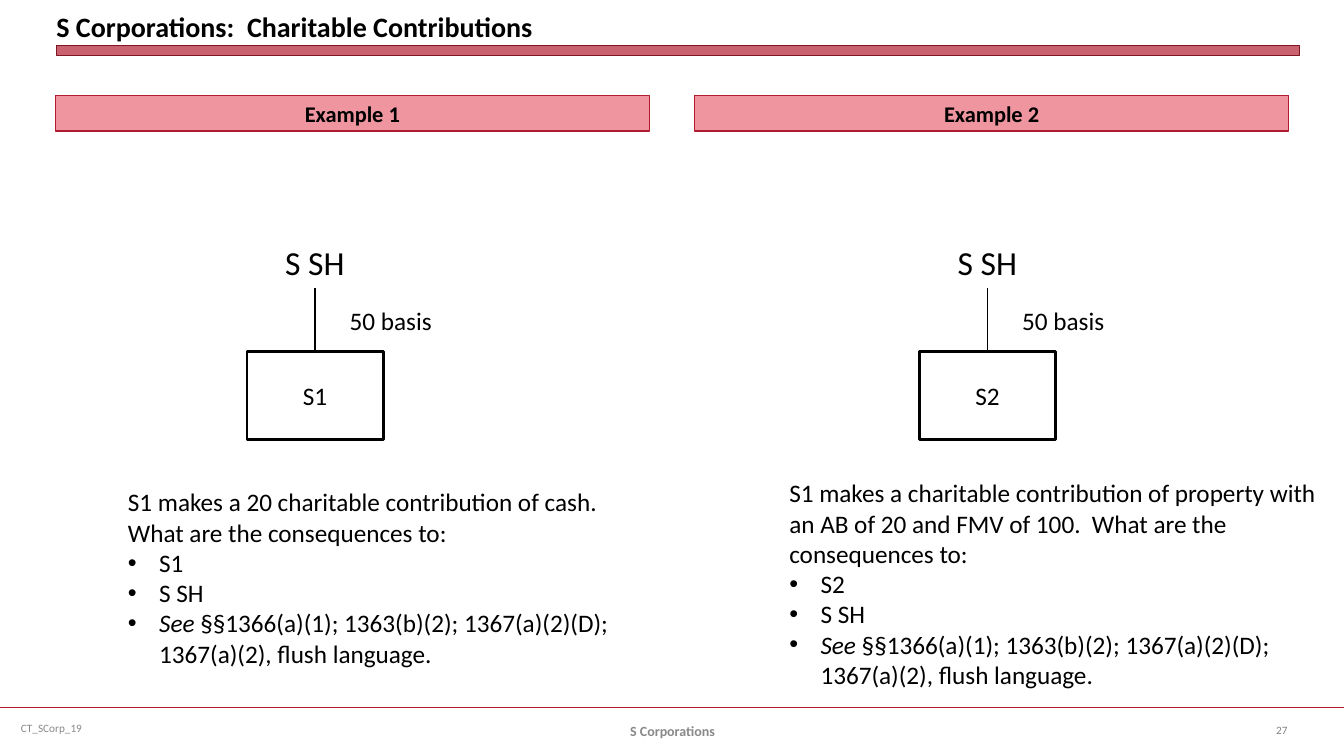
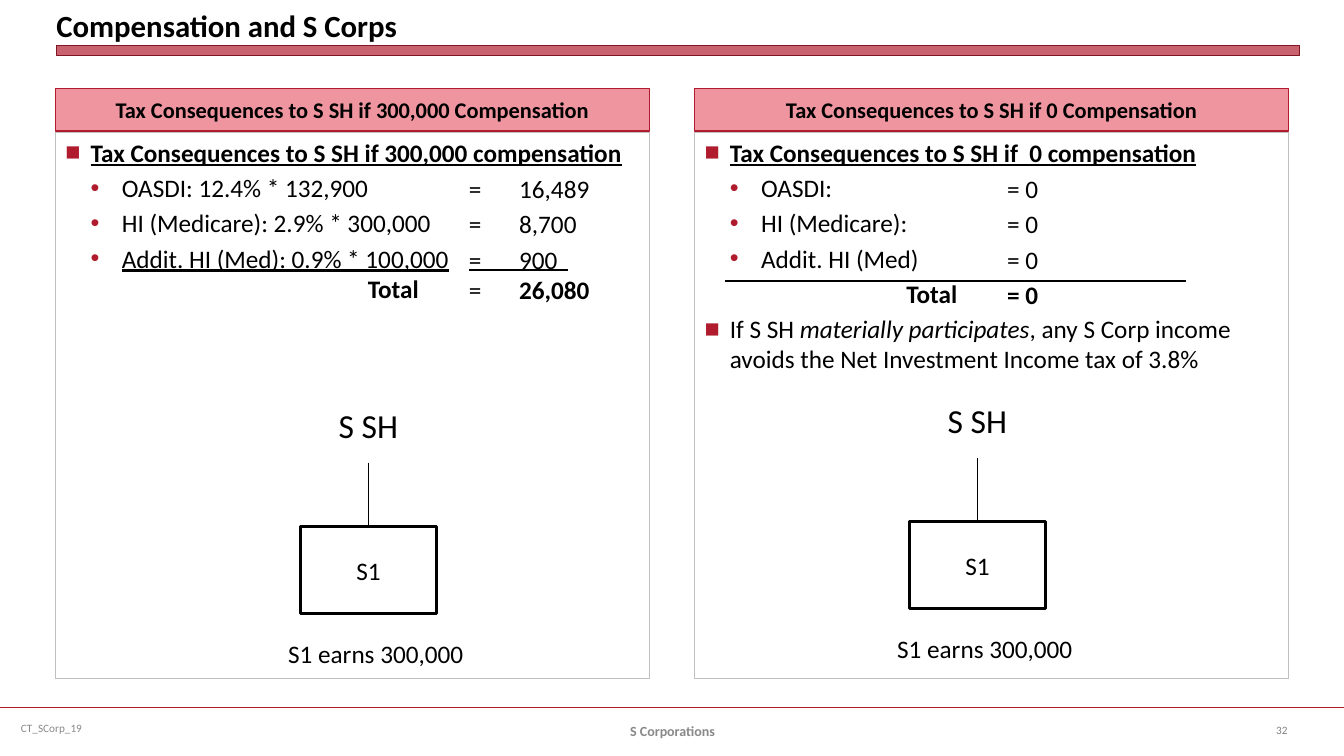
from dataclasses import dataclass

from lxml import etree
from pptx import Presentation
from pptx.dml.color import RGBColor
from pptx.enum import shapes, text
from pptx.oxml import ns
from pptx.util import Inches, Pt

BLACK = RGBColor(0x00, 0x00, 0x00)
WHITE = RGBColor(0xFF, 0xFF, 0xFF)
CRIMSON = RGBColor(0xB0, 0x1C, 0x2E)
DARK_RED = RGBColor(0x82, 0x15, 0x22)
PINK = RGBColor(0xEE, 0x95, 0xA0)
SILVER = RGBColor(0xC0, 0xC0, 0xC0)
FOOTER_GREY = RGBColor(0x89, 0x89, 0x89)
NUMBER_GREY = RGBColor(0x80, 0x80, 0x80)

FONT = "Calibri"
COLUMN_LEFTS = (0.55, 6.89)
COLUMN_WIDTH = 5.89
PANEL_TOP, PANEL_HEIGHT = 1.31, 5.42
PARA_GAP = 3.6
LEFT, CENTER = text.PP_ALIGN.LEFT, text.PP_ALIGN.CENTER
TOP, MIDDLE = text.MSO_ANCHOR.TOP, text.MSO_ANCHOR.MIDDLE


@dataclass
class Para:
    """Spans are (words, marks); marks holds any of the letters b, i and u."""
    spans: list
    bullet: str = ""
    margin: float = 0
    hanging: float = 0
    gap: float = 0
    bullet_color: RGBColor = BLACK
    right_tab: float = 0


def heading(*spans, gap=PARA_GAP):
    return Para(list(spans), "■", 0.25, 0.25, gap, CRIMSON)


def item(words, marks=""):
    return Para([(words, marks)], "•", 0.56, 0.31, PARA_GAP, CRIMSON)


def total_label(margin, gap):
    return Para([("Total", "b")], margin=margin, gap=gap)


def add_child(parent, tag, **attributes):
    return etree.SubElement(parent, ns.qn(tag), attributes)


def format_span(span, size, color=BLACK, marks=""):
    font = span.font
    font.name, font.size, font.color.rgb = FONT, Pt(size), color
    font.bold, font.italic, font.underline = ("b" in marks, "i" in marks, "u" in marks)


def write(frame, paras, size, color=BLACK, align=LEFT, anchor=TOP, wrap=True, inset=True):
    frame.word_wrap = wrap
    frame.vertical_anchor = anchor
    if not inset:
        frame.margin_left = frame.margin_right = 0
        frame.margin_top = frame.margin_bottom = 0
    for index, source in enumerate(paras):
        para = frame.paragraphs[0] if index == 0 else frame.add_paragraph()
        para.alignment = align
        para.space_before = Pt(source.gap if index else 0)
        properties = para._p.get_or_add_pPr()
        properties.set("marL", str(Inches(source.margin)))
        properties.set("indent", str(-Inches(source.hanging)))
        if source.bullet:
            tint = add_child(properties, "a:buClr")
            add_child(tint, "a:srgbClr", val=str(source.bullet_color))
            add_child(properties, "a:buFont", typeface="Arial")
            add_child(properties, "a:buChar", char=source.bullet)
        else:
            add_child(properties, "a:buNone")
        if source.right_tab:
            tabs = add_child(properties, "a:tabLst")
            add_child(tabs, "a:tab", pos=str(Inches(source.right_tab)), algn="r")
        for words, marks in source.spans:
            span = para.add_run()
            span.text = words
            format_span(span, size, color, marks)


def add_text(page, left, top, width, height, paras, size, **style):
    box = page.shapes.add_textbox(Inches(left), Inches(top), Inches(width), Inches(height))
    write(box.text_frame, paras, size, **style)


def add_label(page, left, top, width, height, words, size, marks="", **style):
    add_text(page, left, top, width, height, [Para([(words, marks)])], size, **style)


def add_rect(page, left, top, width, height, fill, line, weight):
    rect = page.shapes.add_shape(shapes.MSO_SHAPE.RECTANGLE, Inches(left), Inches(top),
                                 Inches(width), Inches(height))
    rect.shadow.inherit = False
    if fill is None:
        rect.fill.background()
    else:
        rect.fill.solid()
        rect.fill.fore_color.rgb = fill
    rect.line.color.rgb = line
    rect.line.width = Pt(weight)
    return rect


def add_line(page, x1, y1, x2, y2, color, weight):
    line = page.shapes.add_connector(shapes.MSO_CONNECTOR.STRAIGHT, Inches(x1), Inches(y1),
                                     Inches(x2), Inches(y2))
    line.line.color.rgb = color
    line.line.width = Pt(weight)
    add_child(line._element.spPr, "a:effectLst")
    return line


def add_page(deck, title, title_size, number):
    """Add a slide with its title, title bar and footer."""
    page = deck.slides.add_slide(deck.slide_layouts[5])
    add_line(page, 0, 7.02, 13.33, 7.02, CRIMSON, 1.25)
    add_label(page, 0.11, 7.02, 3.44, 0.4, "CT_SCorp_19", 8, color=FOOTER_GREY, anchor=MIDDLE)
    add_label(page, 4.56, 7.05, 4.22, 0.4, "S Corporations", 10, "b", color=FOOTER_GREY,
              align=CENTER, anchor=MIDDLE)
    add_label(page, 12.56, 7.04, 0.67, 0.4, number, 8, color=NUMBER_GREY, anchor=MIDDLE)

    bar = add_rect(page, 0.56, 0.45, 12.33, 0.1, CRIMSON, DARK_RED, 0)
    tint = bar._element.spPr.find(ns.qn("a:solidFill"))[0]
    add_child(tint, "a:alpha", val="69000")

    holder = page.shapes.title
    holder.left, holder.top = Inches(0.56), Inches(0)
    holder.width, holder.height = Inches(12.33), Inches(0.43)
    holder.text_frame.auto_size = text.MSO_AUTO_SIZE.NONE
    write(holder.text_frame, [Para([(title, "b")])], title_size,
          anchor=text.MSO_ANCHOR.BOTTOM, inset=False)
    return page


def add_column_header(page, left, height, words):
    band = add_rect(page, left, PANEL_TOP - 0.01 - height, COLUMN_WIDTH, height,
                    PINK, CRIMSON, 0.75)
    write(band.text_frame, [Para([(words, "b")])], 16, align=CENTER, anchor=MIDDLE)


def add_ownership(page, left, top, entity, owner_rise, basis="", caption=""):
    """Draw an entity box at left, top with its shareholder above it."""
    width, stem = 1.35, 0.63
    center = left + width / 2
    box = add_rect(page, left, top, width, 0.87, None, BLACK, 2)
    write(box.text_frame, [Para([(entity, "")])], 18, align=CENTER, anchor=MIDDLE)
    add_label(page, left + 0.28, top - owner_rise, 0.8, 0.5, "S SH", 24, wrap=False)
    line = add_line(page, center, top - stem, center, top, BLACK, 1)
    line.end_connect(box, 0)
    if basis:
        add_label(page, left + 0.92, top - 0.51, 1.02, 0.4, basis, 18, wrap=False)
    if caption:
        add_label(page, left - 0.22, top + 1.06, 2, 0.4, caption, 18)


def add_question(page, left, top, height, question, entity):
    answers = [[(entity, "")], [("S SH", "")],
               [("See ", "i"),
                ("§§1366(a)(1); 1363(b)(2); 1367(a)(2)(D); 1367(a)(2), flush language.", "")]]
    paras = [Para([(question, "")])] + [Para(spans, "•", 0.31, 0.31) for spans in answers]
    add_text(page, left, top, 5.49, height, paras, 18)


def add_tax_panel(page, left, paras, figures, figures_offset):
    """Draw a framed panel whose figures line up with the rows under its heading."""
    panel = add_rect(page, left, PANEL_TOP, COLUMN_WIDTH, PANEL_HEIGHT, WHITE, SILVER, 0.75)
    write(panel.text_frame, paras, 18)
    add_text(page, left + figures_offset, PANEL_TOP + 0.41, 1.2, 1.5, figures, 18, inset=False)


def build_contributions(deck):
    page = add_page(deck, "S Corporations:  Charitable Contributions", 20, "27")
    examples = (
        ("Example 1", "S1", 2.45, (1.17, 4.78, 1.92),
         "S1 makes a 20 charitable contribution of cash.  What are the consequences to:"),
        ("Example 2", "S2", 9.12, (7.73, 4.69, 2.22),
         "S1 makes a charitable contribution of property with an AB of 20 and FMV of 100.  "
         "What are the consequences to:"),
    )
    for left, (name, entity, box_left, place, question) in zip(COLUMN_LEFTS, examples):
        add_column_header(page, left, 0.35, name)
        add_ownership(page, box_left, 3.49, entity, 1.14, basis="50 basis")
        add_question(page, *place, question, entity)


def build_compensation(deck):
    page = add_page(deck, "Compensation and S Corps", 22, "32")
    first, second = COLUMN_LEFTS
    add_column_header(page, first, 0.42, "Tax Consequences to S SH if 300,000 Compensation")
    add_column_header(page, second, 0.42, "Tax Consequences to S SH if 0 Compensation")

    amounts = [Para([("=\t" + amount, "")], gap=PARA_GAP, right_tab=0.98)
               for amount in ("16,489", "8,700", "900")]
    amounts.append(Para([("=\t", ""), ("26,080", "b")], right_tab=0.98))
    add_tax_panel(page, first, [
        heading(("Tax Consequences to S SH if 300,000 compensation", "bu")),
        item("OASDI: 12.4% * 132,900"),
        item("HI (Medicare): 2.9% * 300,000"),
        item("Addit. HI (Med): 0.9% * 100,000", "u"),
        total_label(3, 0),
    ], amounts, 4.1)
    add_line(page, first + 4.1, 2.68, first + 5.08, 2.68, BLACK, 1.5)

    zeros = [Para([("= 0", marks)], gap=PARA_GAP) for marks in ("", "", "", "b")]
    add_tax_panel(page, second, [
        heading(("Tax Consequences to S SH if  0 compensation", "bu")),
        item("OASDI:"),
        item("HI (Medicare):"),
        item("Addit. HI (Med)"),
        total_label(2, PARA_GAP),
        heading(("If S SH ", ""), ("materially participates", "i"),
                (", any S Corp income avoids the Net Investment Income tax of 3.8%", "")),
    ], zeros, 3.1)
    add_line(page, second + 0.3, 2.79, second + 4.87, 2.79, BLACK, 1.5)

    for left, top in ((2.98, 5.22), (9.02, 5.17)):
        add_ownership(page, left, top, "S1", 1.25, caption="S1 earns 300,000")


def main():
    deck = Presentation()
    deck.slide_width, deck.slide_height = Inches(13.33), Inches(7.5)
    build_contributions(deck)
    build_compensation(deck)
    deck.save("out.pptx")


if __name__ == "__main__":
    main()
